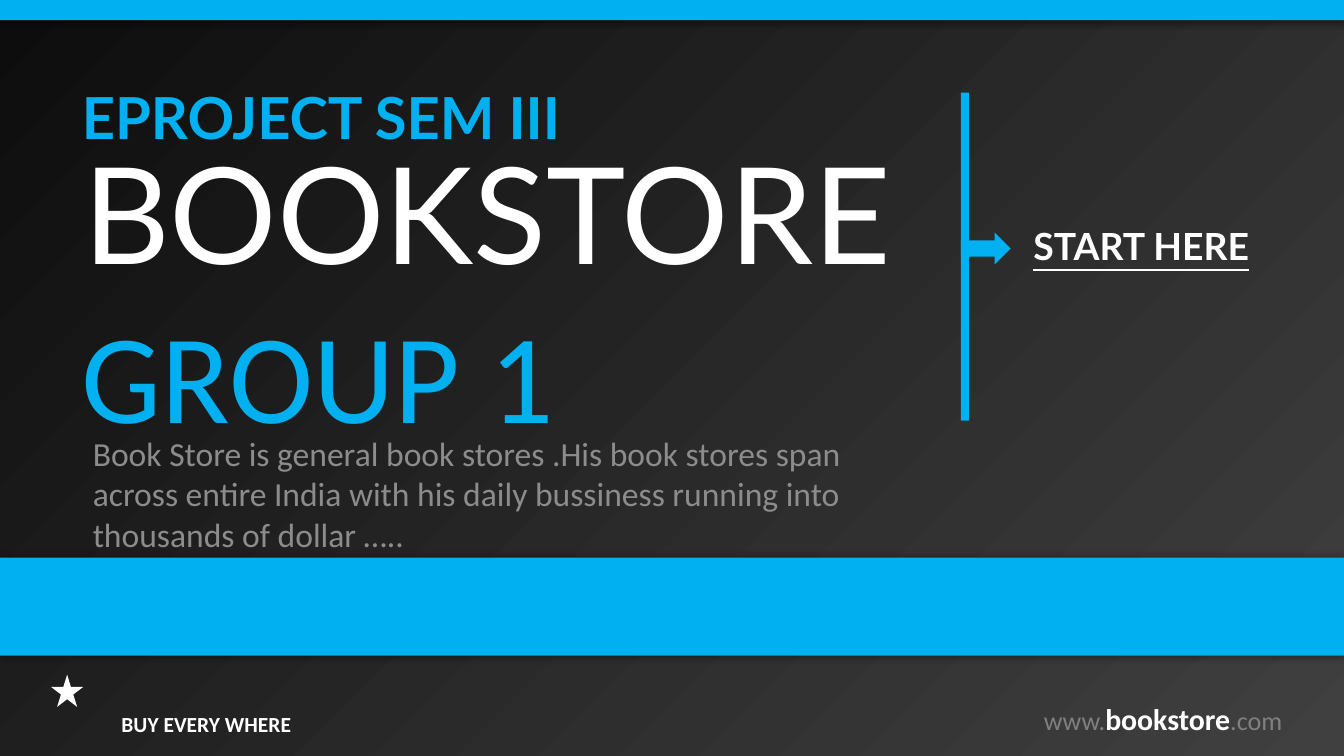
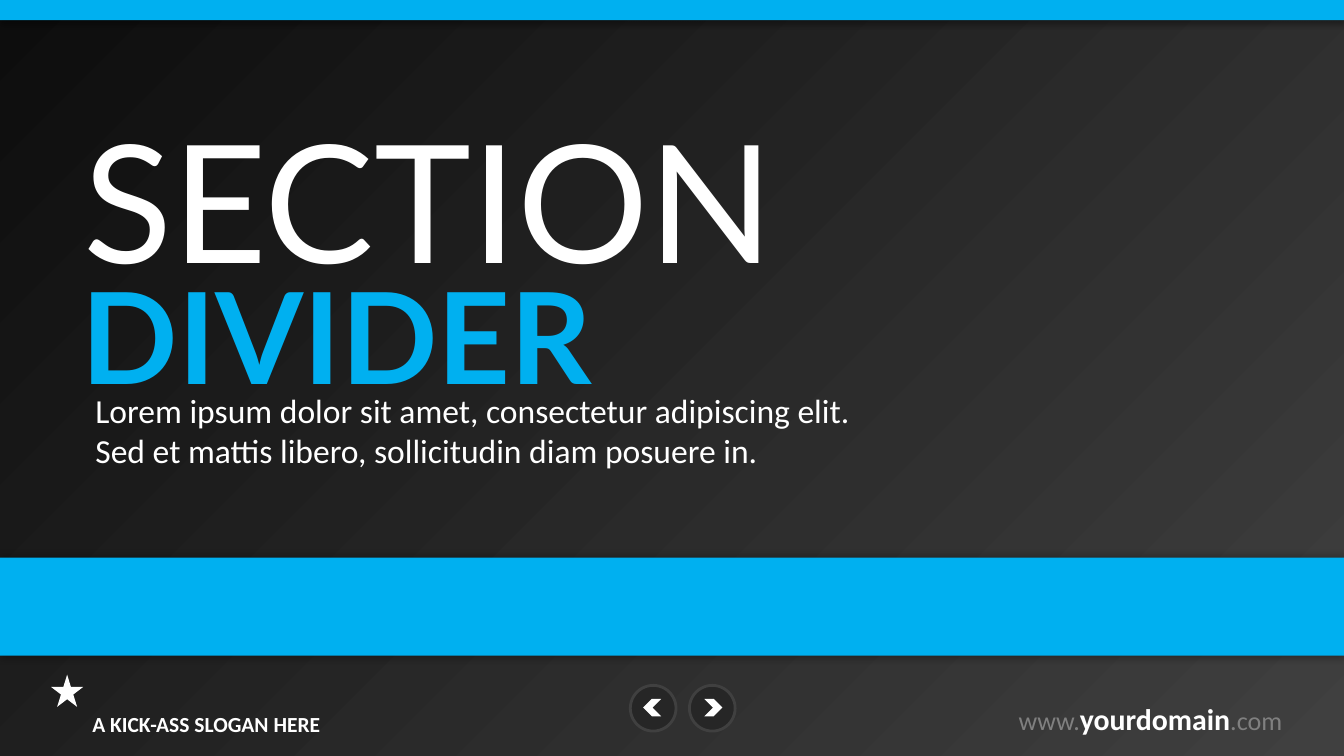
from dataclasses import dataclass
from typing import NamedTuple

from lxml import etree
from pptx import Presentation
from pptx.dml.color import RGBColor
from pptx.enum.shapes import MSO_SHAPE
from pptx.enum.text import MSO_ANCHOR, MSO_AUTO_SIZE, PP_ALIGN
from pptx.oxml.ns import qn
from pptx.util import Inches, Pt

RECT, STAR, OVAL = MSO_SHAPE.RECTANGLE, MSO_SHAPE.STAR_5_POINT, MSO_SHAPE.OVAL
ARROW, CHEVRON = MSO_SHAPE.RIGHT_ARROW, MSO_SHAPE.CHEVRON
LEFT, CENTER, RIGHT = PP_ALIGN.LEFT, PP_ALIGN.CENTER, PP_ALIGN.RIGHT
TOP, MIDDLE = MSO_ANCHOR.TOP, MSO_ANCHOR.MIDDLE
FIXED, GROW = MSO_AUTO_SIZE.NONE, MSO_AUTO_SIZE.SHAPE_TO_FIT_TEXT

COLS, ROWS = 100, 56.25
SLIDE_W, SLIDE_H = Inches(10), Inches(5.625)


@dataclass(frozen=True)
class Theme:
    accent: str = "00B0F0"
    white: str = "FFFFFF"
    dark: str = "0D0D0D"
    button: str = "262626"
    edge: str = "404040"
    muted: str = "8C8C8C"
    domain: str = "808080"
    heading: str = "Lato"
    body: str = "Calibri"
    kicker_size: float = 31
    product_size: float = 72
    section_size: float = 88
    second_size: float = 68
    intro_size: float = 18
    action_size: float = 20
    slogan_size: float = 11.5
    domain_size: float = 14
    domain_name_size: float = 16


class Area(NamedTuple):
    col: float
    row: float
    cols: float
    rows: float

    def emu(self) -> tuple[int, int, int, int]:
        return (round(self.col * SLIDE_W / COLS), round(self.row * SLIDE_H / ROWS),
                round(self.cols * SLIDE_W / COLS), round(self.rows * SLIDE_H / ROWS))


class Shadow(NamedTuple):
    alpha: int
    blur: float
    distance: float
    angle: int


class Run(NamedTuple):
    text: str
    size: float
    color: str
    bold: bool = False


THEME = Theme()
SOFT = Shadow(35, 3.1, 1.8, 90)
GLOW = Shadow(40, 5, 0, 0)
WHOLE = Area(0, 0, COLS, ROWS)
TOP_BAND = Area(0, 0, COLS, 1.5)
LOWER_BAND = Area(0, 41.5, COLS, 7.3)
SLOGAN = Area(5.1, 52.4, 20.5, 3.8)
DOMAIN = Area(74.4, 52.1, 22, 3.2)
BADGE = Area(3.8, 50.2, 2.4, 2.4)
BUTTON_ROW, BUTTON_SIZE = 51, 3.4


def rgb(color: str) -> RGBColor:
    return RGBColor.from_string(color)


def cast_shadow(shape, shadow: Shadow) -> None:
    effects = shape._element.spPr.find(qn("a:effectLst"))
    outer = etree.SubElement(
        effects, qn("a:outerShdw"), blurRad=str(Pt(shadow.blur)),
        dist=str(Pt(shadow.distance)), dir=str(shadow.angle * 60000), rotWithShape="0")
    tint = etree.SubElement(outer, qn("a:srgbClr"), val="000000")
    etree.SubElement(tint, qn("a:alpha"), val=str(shadow.alpha * 1000))


def draw(shapes, kind, area: Area, color: str, *, line: str | None = None,
         shadow: Shadow | None = None):
    shape = shapes.add_shape(kind, *area.emu())
    shape.shadow.inherit = False
    shape.fill.solid()
    shape.fill.fore_color.rgb = rgb(color)
    if line:
        shape.line.color.rgb = rgb(line)
        shape.line.width = Pt(1.5)
    else:
        shape.line.fill.background()
    if shadow:
        cast_shadow(shape, shadow)
    return shape


def write(slide, area: Area, *runs: Run, font: str = THEME.body, slot: int | None = None,
          align=LEFT, anchor=TOP, underline: bool = False, fit=FIXED,
          top_inset: float = 0.05) -> None:
    if slot is None:
        holder = slide.shapes.add_textbox(*area.emu())
    else:
        holder = slide.placeholders[slot]
        slide.shapes._spTree.append(holder._element)
        holder.left, holder.top, holder.width, holder.height = area.emu()
    frame = holder.text_frame
    frame.word_wrap = True
    frame.auto_size = fit
    frame.vertical_anchor = anchor
    frame.margin_left = frame.margin_right = Inches(0.1)
    frame.margin_top, frame.margin_bottom = Inches(top_inset), Inches(0.05)
    paragraph = frame.paragraphs[0]
    paragraph.alignment = align
    for part in runs:
        run = paragraph.add_run()
        run.text = part.text
        run.font.name = font
        run.font.size = Pt(part.size)
        run.font.bold = part.bold
        run.font.underline = underline
        run.font.color.rgb = rgb(part.color)


def draw_backdrop(slide) -> None:
    backdrop = draw(slide.shapes, RECT, WHOLE, THEME.dark, shadow=SOFT)
    backdrop.fill.gradient()
    for stop, color in zip(backdrop.fill.gradient_stops, (THEME.dark, THEME.edge)):
        stop.color.rgb = rgb(color)
    gradient = backdrop._element.spPr.find(qn("a:gradFill"))
    gradient.remove(gradient.find(qn("a:lin")))
    radial = etree.SubElement(gradient, qn("a:path"), path="circle")
    etree.SubElement(radial, qn("a:fillToRect"), r="100000", b="100000")


def start_slide(deck):
    slide = deck.slides.add_slide(deck.slide_layouts[0])
    draw_backdrop(slide)
    draw(slide.shapes, RECT, TOP_BAND, THEME.accent, shadow=SOFT)
    draw(slide.shapes, RECT, LOWER_BAND, THEME.accent, shadow=GLOW)
    return slide


def draw_footer(slide, slogan: str, domain: str) -> None:
    write(slide, SLOGAN, Run(slogan, THEME.slogan_size, THEME.white, True), align=CENTER)
    write(slide, DOMAIN,
          Run("www.", THEME.domain_size, THEME.domain),
          Run(domain, THEME.domain_name_size, THEME.white, True),
          Run(".com", THEME.domain_size, THEME.domain),
          align=RIGHT, fit=GROW, top_inset=0)
    draw(slide.shapes, STAR, BADGE, THEME.white)


def draw_button(slide, col: float, *, backward: bool) -> None:
    button = slide.shapes.add_group_shape()
    draw(button.shapes, OVAL, Area(col, BUTTON_ROW, BUTTON_SIZE, BUTTON_SIZE),
         THEME.button, line=THEME.edge)
    inset = 0.95 if backward else 1.1
    chevron = draw(button.shapes, CHEVRON,
                   Area(col + inset, BUTTON_ROW + 1, 1.35, 1.3), THEME.white)
    if backward:
        chevron._element.spPr.find(qn("a:xfrm")).set("flipH", "1")


def build_cover(deck) -> None:
    slide = start_slide(deck)
    draw(slide.shapes, RECT, Area(71.5, 6.9, 0.6, 24.4), THEME.accent)
    write(slide, Area(5.1, 5.7, 85, 5.9),
          Run("EPROJECT SEM III", THEME.kicker_size, THEME.accent, True),
          font=THEME.heading, slot=0, anchor=MIDDLE)
    write(slide, Area(5.2, 9.2, 85, 12.4),
          Run("BOOKSTORE", THEME.product_size, THEME.white), font=THEME.heading)
    write(slide, Area(5.1, 21.2, 85, 7.7),
          Run("GROUP 1", THEME.second_size, THEME.accent), top_inset=0.09)
    draw(slide.shapes, ARROW, Area(71.5, 17.3, 3.7, 2.4), THEME.accent)
    write(slide, Area(75.9, 16.1, 19, 4.1),
          Run("START HERE", THEME.action_size, THEME.white, True),
          font=THEME.heading, underline=True)
    write(slide, Area(5.9, 31.7, 59.6, 5.9),
          Run("Book Store is general book stores .His book stores span across entire India "
              "with his daily bussiness running into thousands of dollar …..",
              THEME.intro_size, THEME.muted), slot=1)
    draw_footer(slide, "BUY EVERY WHERE", "bookstore")


def build_divider(deck) -> None:
    slide = start_slide(deck)
    write(slide, Area(5.2, 6.9, 85, 12.4),
          Run("SECTION", THEME.section_size, THEME.white), font=THEME.heading, slot=0)
    write(slide, Area(5.1, 18.7, 85, 7.7),
          Run("DIVIDER", THEME.second_size, THEME.accent, True), font=THEME.heading)
    write(slide, Area(6.1, 28.5, 59.6, 5.9),
          Run("Lorem ipsum dolor sit amet, consectetur adipiscing elit. "
              "Sed et mattis libero, sollicitudin diam posuere in.",
              THEME.intro_size, THEME.white), slot=1)
    draw_footer(slide, "A KICK-ASS SLOGAN HERE", "yourdomain")
    draw_button(slide, 51.3, backward=False)
    draw_button(slide, 46.9, backward=True)


def main() -> None:
    deck = Presentation()
    deck.slide_width, deck.slide_height = SLIDE_W, SLIDE_H
    build_cover(deck)
    build_divider(deck)
    deck.save("out.pptx")


main()
